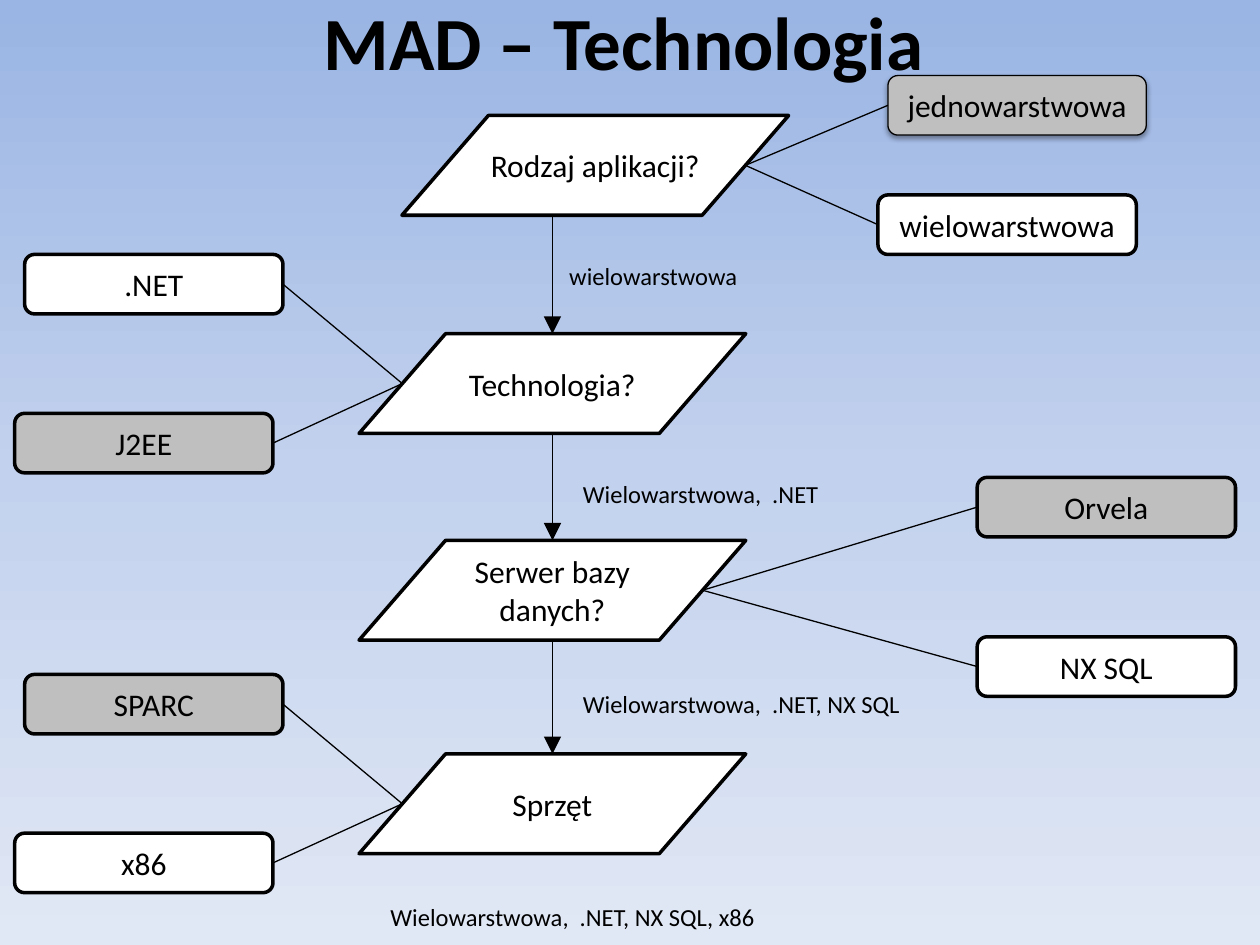
from dataclasses import dataclass

from lxml.etree import SubElement
from pptx import Presentation
from pptx.dml.color import RGBColor
from pptx.enum.shapes import MSO_CONNECTOR as Connector, MSO_SHAPE as Preset
from pptx.enum.text import MSO_ANCHOR as Anchor, MSO_AUTO_SIZE as AutoSize, PP_ALIGN as Align
from pptx.oxml.ns import qn
from pptx.util import Pt


@dataclass(frozen=True)
class Theme:
    font: str = "Calibri"
    ink: str = "000000"
    chosen: str = "FFFFFF"
    rejected: str = "BFBFBF"
    gradient: tuple = ((0, "9AB5E4"), (50, "C2D1ED"), (100, "E1E8F5"))
    title_size: float = 42.9
    shape_size: float = 18
    label_size: float = 14
    outline: float = 2
    hairline: float = 0.75


DECISION_WIDTH, DECISION_HEIGHT, SLANT = 221, 57, 0.867
OPTION_WIDTH, OPTION_HEIGHT = 147.6, 34
SIDE_INSET = SLANT * DECISION_HEIGHT / 2
FLOW_LEFT = 205.2
FLOW_CENTER = FLOW_LEFT + DECISION_WIDTH / 2

DECISIONS = [
    ("Rodzaj aplikacji?", 229.7, 66,
     [("jednowarstwowa", 507.4, 43.2, False), ("wielowarstwowa", 501.7, 111.4, True)],
     ("wielowarstwowa", 318.2, 145.6, 111.6)),
    ("Technologia?", FLOW_LEFT, 190.7,
     [(".NET", 14.1, 145.4, True), ("J2EE", 8.4, 236.2, False)],
     ("Wielowarstwowa,  .NET", 326, 270.3, 150.5)),
    ("Serwer bazy danych?", FLOW_LEFT, 308.8,
     [("Orvela", 558.4, 272.8, False), ("NX SQL", 558.4, 363.9, True)],
     ("Wielowarstwowa,  .NET, NX SQL", 326, 390.4, 198.7)),
    ("Sprzęt", FLOW_LEFT, 430.8,
     [("SPARC", 14.1, 385.4, False), ("x86", 8.4, 476.1, True)],
     ("Wielowarstwowa,  .NET, NX SQL, x86", 216, 512.2, 226.8)),
]


class SlideBuilder:
    def __init__(self, slide, theme):
        self.slide = slide
        self.theme = theme

    def background(self):
        fill = self.slide.background.fill
        fill.gradient()
        fill.gradient_angle = 270
        stops = next(self.slide.element.iter(qn("a:gsLst")))
        for stop in list(stops):
            stops.remove(stop)
        for position, color in self.theme.gradient:
            stop = SubElement(stops, qn("a:gs"), pos=str(position * 1000))
            SubElement(stop, qn("a:srgbClr"), val=color)

    def format_text(self, text_frame, size, align, bold=False):
        for paragraph in text_frame.paragraphs:
            paragraph.alignment = align
            for run in paragraph.runs:
                run.font.name = self.theme.font
                run.font.size = Pt(size)
                run.font.bold = bold
                run.font.color.rgb = RGBColor.from_string(self.theme.ink)

    def title(self, text, left, top, width, height):
        title = self.slide.shapes.title
        title.left, title.top, title.width, title.height = map(Pt, (left, top, width, height))
        title.text_frame.text = text
        title.text_frame.vertical_anchor = Anchor.MIDDLE
        self.format_text(title.text_frame, self.theme.title_size, Align.CENTER, True)

    def box(self, preset, text, left, top, width, height, fill, outline):
        shape = self.slide.shapes.add_shape(preset, Pt(left), Pt(top), Pt(width), Pt(height))
        shape.shadow.inherit = False
        shape.fill.solid()
        shape.fill.fore_color.rgb = RGBColor.from_string(fill)
        shape.line.color.rgb = RGBColor.from_string(self.theme.ink)
        shape.line.width = Pt(outline)
        shape.text_frame.text = text
        shape.text_frame.word_wrap = True
        shape.text_frame.vertical_anchor = Anchor.MIDDLE
        self.format_text(shape.text_frame, self.theme.shape_size, Align.CENTER)
        return shape

    def decision(self, text, left, top):
        shape = self.box(Preset.PARALLELOGRAM, text, left, top, DECISION_WIDTH,
                         DECISION_HEIGHT, self.theme.chosen, self.theme.outline)
        shape.adjustments[0] = SLANT

    def option(self, text, left, top, chosen, raised):
        fill = self.theme.chosen if chosen else self.theme.rejected
        outline = self.theme.hairline if raised else self.theme.outline
        shape = self.box(Preset.ROUNDED_RECTANGLE, text, left, top, OPTION_WIDTH,
                         OPTION_HEIGHT, fill, outline)
        if raised:
            self.drop_shadow(shape)
        return shape

    def drop_shadow(self, shape):
        effects = shape.element.spPr.find(qn("a:effectLst"))
        shadow = SubElement(effects, qn("a:outerShdw"), blurRad=str(Pt(3.1)),
                            dist=str(Pt(1.6)), dir="5400000", rotWithShape="0")
        color = SubElement(shadow, qn("a:srgbClr"), val=self.theme.ink)
        SubElement(color, qn("a:alpha"), val="38000")

    def line(self, start, end, arrow=False):
        connector = self.slide.shapes.add_connector(Connector.STRAIGHT, *map(Pt, (*start, *end)))
        connector.line.color.rgb = RGBColor.from_string(self.theme.ink)
        connector.line.width = Pt(self.theme.hairline)
        if arrow:
            SubElement(connector.line._get_or_add_ln(), qn("a:tailEnd"),
                       type="triangle", w="lg", len="lg")
        SubElement(connector.element.spPr, qn("a:effectLst"))
        return connector

    def branch(self, option, decision_left, decision_top):
        on_right = option.left > Pt(decision_left)
        offset = DECISION_WIDTH - SIDE_INSET if on_right else SIDE_INSET
        point = (decision_left + offset, decision_top + DECISION_HEIGHT / 2)
        self.line(point, point).end_connect(option, 1 if on_right else 3)

    def label(self, text, left, top, width):
        label = self.slide.shapes.add_textbox(Pt(left), Pt(top), Pt(width), Pt(24.2))
        label.text_frame.text = text
        label.text_frame.word_wrap = False
        label.text_frame.auto_size = AutoSize.SHAPE_TO_FIT_TEXT
        self.format_text(label.text_frame, self.theme.label_size, Align.LEFT)


def main():
    presentation = Presentation()
    presentation.slide_width, presentation.slide_height = Pt(720), Pt(540)
    slide = presentation.slides.add_slide(presentation.slide_layouts[5])
    builder = SlideBuilder(slide, Theme())
    builder.background()
    builder.title("MAD – Technologia", 32.4, -21.6, 648, 90)

    for text, left, top, options, label in DECISIONS:
        builder.decision(text, left, top)
        for name, option_left, option_top, chosen in options:
            raised = name == "jednowarstwowa"
            option = builder.option(name, option_left, option_top, chosen, raised)
            builder.branch(option, left, top)
        builder.label(*label)

    for (_, _, top, *_), (_, _, next_top, *_) in zip(DECISIONS, DECISIONS[1:]):
        builder.line((FLOW_CENTER, top + DECISION_HEIGHT), (FLOW_CENTER, next_top), arrow=True)

    presentation.save("out.pptx")


if __name__ == "__main__":
    main()
